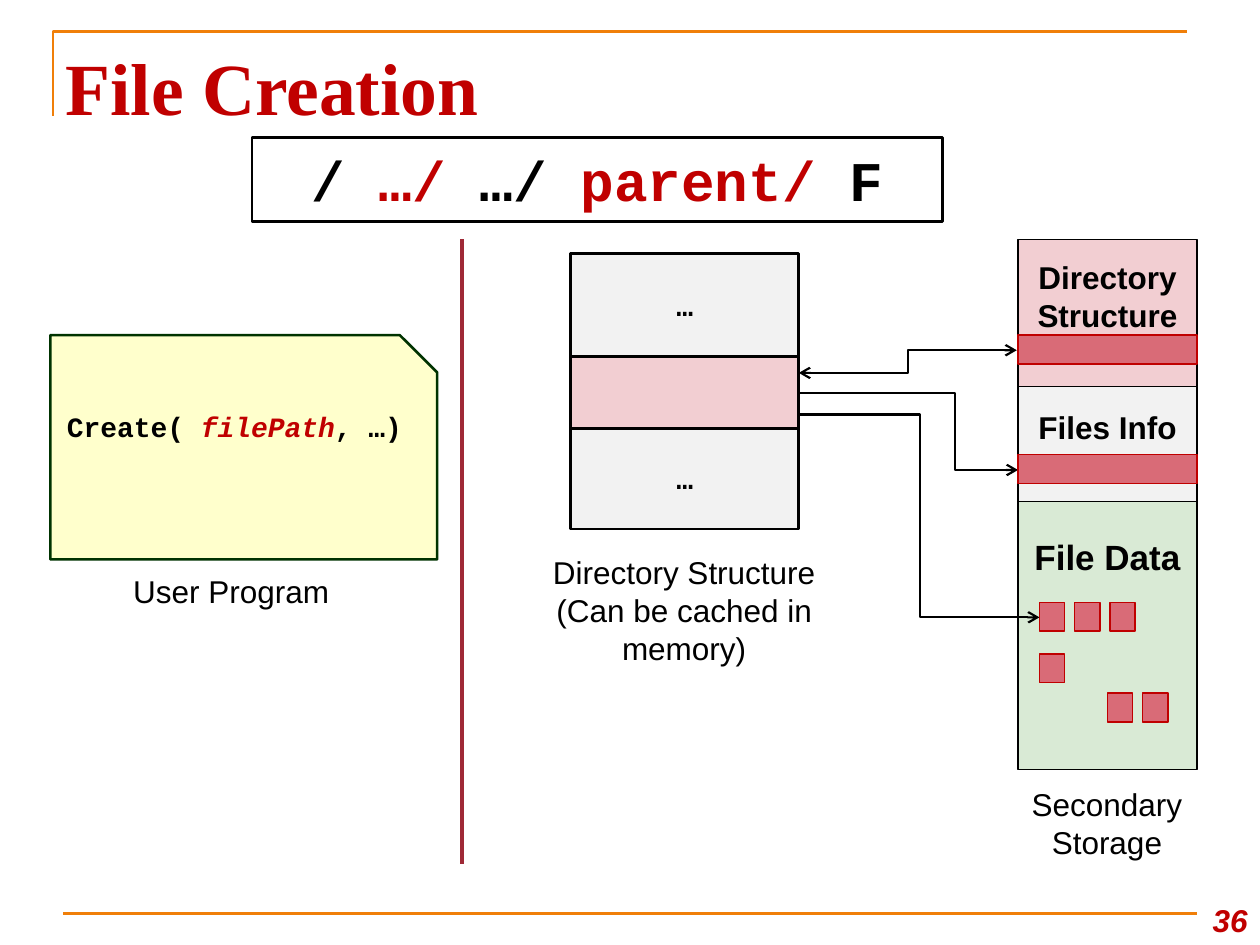
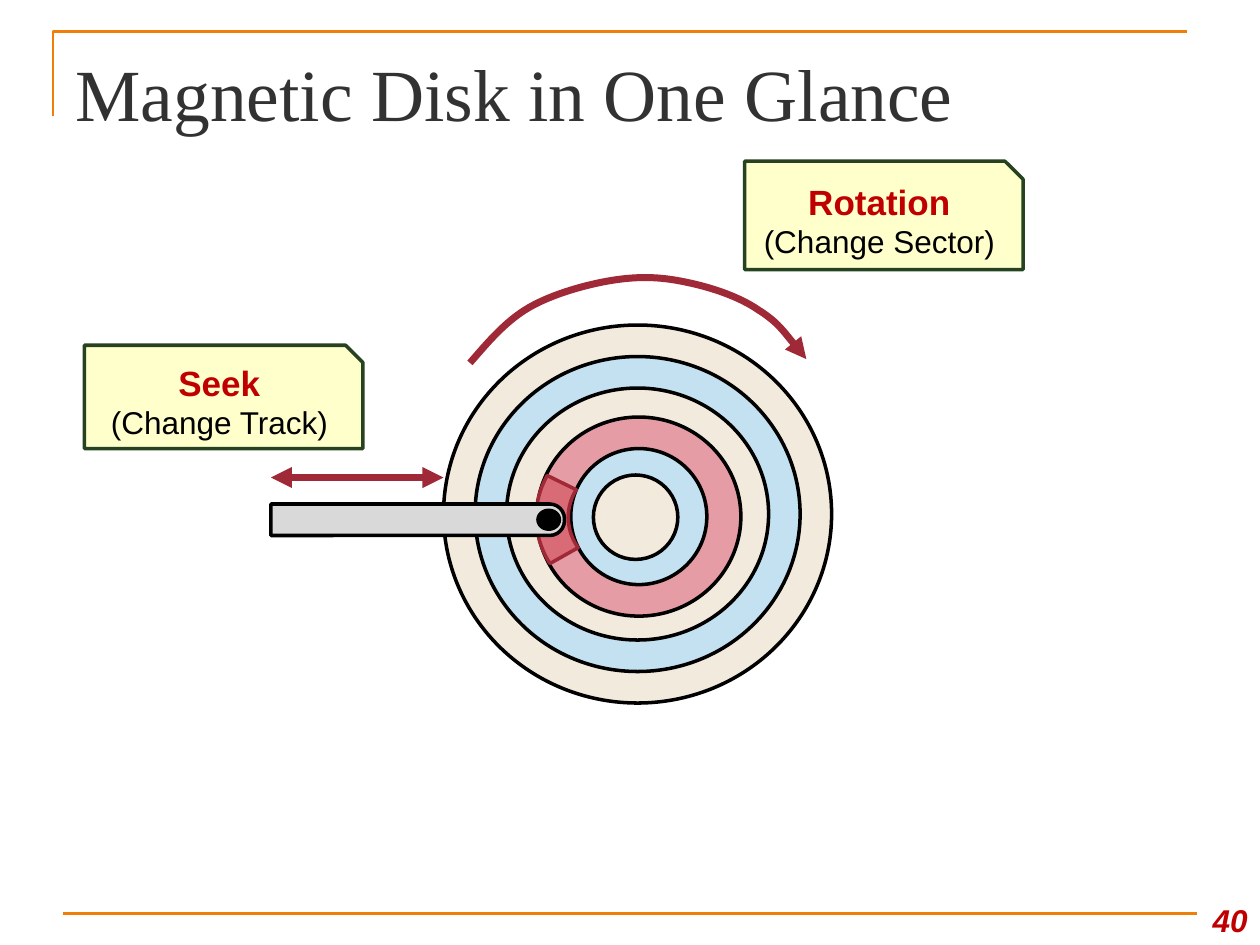
import lxml.etree
import pptx
import pptx.dml.color
import pptx.enum.shapes
import pptx.enum.text
import pptx.oxml.ns
import pptx.util

COLUMN = ROW = pptx.util.Inches(1)
COLUMNS, ROWS = 10, 7.5
COLORS = {
    "accent": "F07F09", "red": "C00000", "black": "000000", "dark": "323232",
    "crimson": "9F2936", "gray": "F2F2F2", "pink": "F2CED2", "green": "D9EAD5",
    "block": "D96B77", "note": "FFFFCC", "forest": "003300", "moss": "274221",
    "sand": "F3EADE", "sky": "C4E1F2", "track": "E69CA4", "metal": "D9D9D9",
}
SHAPE = pptx.enum.shapes.MSO_SHAPE
CONNECTOR = pptx.enum.shapes.MSO_CONNECTOR
ANCHOR = pptx.enum.text.MSO_ANCHOR
ALIGN = pptx.enum.text.PP_ALIGN
qn = pptx.oxml.ns.qn


def grid(*lengths):
    return [round(length * COLUMN) for length in lengths]


def rgb(name):
    return pptx.dml.color.RGBColor.from_string(COLORS[name])


def run(text, size, color="black", font="Arial", bold=False, italic=False):
    return text, size, color, font, bold, italic


def code(text, size, color="black", italic=False):
    return run(text, size, color, "Courier New", True, italic)


def write(holder, paragraphs, align=ALIGN.CENTER, anchor=ANCHOR.MIDDLE, top=0.05, wrap=True):
    frame = holder.text_frame
    frame.word_wrap = wrap
    frame.auto_size = pptx.enum.text.MSO_AUTO_SIZE.NONE
    frame.vertical_anchor = anchor
    frame.margin_top = round(top * ROW)
    for index, runs in enumerate(paragraphs):
        paragraph = frame.add_paragraph() if index else frame.paragraphs[0]
        paragraph.alignment = align
        for text, size, color, font, bold, italic in runs:
            piece = paragraph.add_run()
            piece.text = text
            piece.font.size = pptx.util.Pt(size)
            piece.font.name = font
            piece.font.bold = bold
            piece.font.italic = italic
            piece.font.color.rgb = rgb(color)


def paint(shape, fill, line, width):
    shape.shadow.inherit = False
    if fill:
        shape.fill.solid()
        shape.fill.fore_color.rgb = rgb(fill)
    else:
        shape.fill.background()
    shape.line.color.rgb = rgb(line)
    shape.line.width = pptx.util.Pt(width)


def block(slide, kind, place, fill, line="black", width=1.5, turn=0, adjust=()):
    shape = slide.shapes.add_shape(kind, *grid(*place))
    paint(shape, fill, line, width)
    shape.rotation = turn
    for index, value in enumerate(adjust):
        shape.adjustments[index] = value
    return shape


def arrowheads(shape, head, tail):
    outline = shape.element.find(".//" + qn("a:ln"))
    for tag, kind in (("a:headEnd", head), ("a:tailEnd", tail)):
        if kind:
            lxml.etree.SubElement(outline, qn(tag)).set("type", kind)


def link(slide, start, end, color, width, head=None, tail=None, bend=None):
    kind = CONNECTOR.ELBOW if bend else CONNECTOR.STRAIGHT
    connector = slide.shapes.add_connector(kind, *grid(*start, *end))
    connector.line.color.rgb = rgb(color)
    connector.line.width = pptx.util.Pt(width)
    properties = connector.element.spPr
    lxml.etree.SubElement(properties, qn("a:effectLst"))
    if bend:
        guides = properties.find(".//" + qn("a:avLst"))
        guide = lxml.etree.SubElement(guides, qn("a:gd"))
        guide.set("name", "adj1")
        guide.set("fmla", f"val {round(bend * 100000)}")
    arrowheads(connector, head, tail)


def outline(slide, points, color, width):
    start, *rest = [grid(*point) for point in points]
    builder = slide.shapes.build_freeform(*start)
    builder.add_line_segments(rest, close=False)
    shape = builder.convert_to_shape()
    paint(shape, None, color, width)
    return shape


def curve(slide, points, color, width):
    shape = outline(slide, points, color, width)
    route = shape.element.find(".//" + qn("a:path"))
    segments = route.findall(qn("a:lnTo"))
    for first in range(0, len(segments), 3):
        bezier = lxml.etree.SubElement(route, qn("a:cubicBezTo"))
        for segment in segments[first:first + 3]:
            bezier.append(segment[0])
            route.remove(segment)
    return shape


def caption(slide, place, lines):
    box = slide.shapes.add_textbox(*grid(*place))
    write(box, [[run(line, 18)] for line in lines], anchor=ANCHOR.TOP)


def start_slide(deck, heading, corner, color, bold, number):
    slide = deck.slides.add_slide(deck.slide_layouts[5])
    outline(slide, [(0.42, 0.92), (0.42, 0.25), (9.42, 0.25)], "accent", 1.5)
    link(slide, (0.5, 7.25), (9.5, 7.25), "accent", 1.5)
    title = slide.shapes.title
    title.left, title.top, title.width, title.height = grid(*corner, 9, 0.78)
    title.text_frame.margin_bottom = 0
    write(title, [[run(heading, 42, color, "Times New Roman", bold)]],
          ALIGN.LEFT, ANCHOR.BOTTOM)
    page = slide.shapes.add_textbox(*grid(9.42, 7, 0.58, 0.5))
    write(page, [[run(number, 18, "red", bold=True, italic=True)]],
          ALIGN.RIGHT, ANCHOR.BOTTOM)
    return slide


def user_program(slide):
    program = block(slide, SHAPE.SNIP_1_RECTANGLE, (0.4, 2.66, 3.07, 1.78), "note", "forest")
    call = [code("Create( ", 16), code("filePath", 16, "red", True), code(", …)", 16)]
    write(program, [call], anchor=ANCHOR.TOP, top=0.44)
    caption(slide, (0.69, 4.49, 2.29, 0.4), ["User Program"])


def cached_directory(slide):
    top = 2.01
    for height, fill, text in ((0.82, "gray", "…"), (0.57, "pink", ""), (0.8, "gray", "…")):
        entry = block(slide, SHAPE.RECTANGLE, (4.53, top, 1.81, height), fill)
        if text:
            write(entry, [[code(text, 16)]], wrap=False)
        top += height
    caption(slide, (4.13, 4.34, 2.6, 1.01), ["Directory Structure", "(Can be cached in memory)"])


def secondary_storage(slide):
    left, width = 8.08, 1.42
    regions = (
        (1.9, 1.17, "pink", "Directory Structure", 18, 0.15),
        (3.07, 0.92, "gray", "Files Info", 18, 0.17),
        (3.98, 2.13, "green", "File Data", 20, 0.27),
    )
    for top, height, fill, text, size, inset in regions:
        region = block(slide, SHAPE.RECTANGLE, (left, top, width, height), fill, width=0.75)
        write(region, [[run(text, size, bold=True)]], anchor=ANCHOR.TOP, top=inset)
    caption(slide, (7.64, 6.18, 2.29, 0.71), ["Secondary", "Storage"])

    link(slide, (6.34, 2.96), (8.07, 2.78), "black", 1.25, "arrow", "arrow", 0.5)
    link(slide, (6.35, 3.29), (8.25, 4.9), "black", 1.25, tail="arrow", bend=0.5)
    link(slide, (6.35, 3.12), (8.08, 3.73), "black", 1.25, tail="arrow", bend=0.71)

    records = [(left, top, width) for top in (2.66, 3.61)]
    for first, top, count in ((8.25, 4.78, 3), (8.25, 5.19, 1), (8.79, 5.5, 2)):
        records += [(first + 0.28 * step, top, 0.2) for step in range(count)]
    for record_left, top, record_width in records:
        block(slide, SHAPE.RECTANGLE, (record_left, top, record_width, 0.23),
              "block", "red", 0.75)


def file_creation(deck):
    slide = start_slide(deck, "File Creation", (0.42, 0.25), "red", True, "36")
    address = block(slide, SHAPE.RECTANGLE, (2, 1.09, 5.48, 0.67), None)
    parts = (("/ ", "black"), ("…/ ", "red"), ("…/ ", "black"), ("parent/ ", "red"), ("F", "black"))
    write(address, [[code(text, 32, color) for text, color in parts]], wrap=False)
    link(slide, (3.67, 1.9), (3.67, 6.86), "crimson", 2.25)
    user_program(slide)
    cached_directory(slide)
    secondary_storage(slide)


def platter(slide):
    for ring, fill in enumerate(("sand", "sky", "sand")):
        inset = 0.25 * ring
        block(slide, SHAPE.OVAL,
              (3.52 + inset, 2.58 + inset, 3.08 - 2 * inset, 3 - 2 * inset), fill, width=2)
    block(slide, SHAPE.OVAL, (4.26, 3.31, 1.62, 1.58), "track", width=2)
    block(slide, SHAPE.OVAL, (4.53, 3.56, 1.08, 1.08), "sky", width=2)
    block(slide, SHAPE.BLOCK_ARC, (4.31, 3.34, 1.42, 1.53), "block", "crimson", 2,
          270, (144.42, 177.66, 0.18))
    block(slide, SHAPE.OVAL, (4.71, 3.77, 0.67, 0.67), "sand", width=2)


def disk_arm(slide):
    block(slide, SHAPE.ROUND_2_SAME_RECTANGLE, (3.19, 2.96, 0.25, 2.33), "metal",
          width=2, turn=90, adjust=(0.47, 0))
    block(slide, SHAPE.OVAL, (4.27, 4.05, 0.17, 0.15), "black", width=2)


def movement(slide, place, name, effect):
    note = block(slide, SHAPE.SNIP_1_RECTANGLE, place, "note", "moss", 2)
    write(note, [[run(name, 20, "red", bold=True)], [run(effect, 18)]])


def magnetic_disk(deck):
    slide = start_slide(deck, "Magnetic Disk in One Glance", (0.5, 0.3), "dark", False, "40")
    platter(slide)
    disk_arm(slide)
    rotation = curve(slide, [
        (3.73, 2.88), (3.87, 2.72), (4.01, 2.55), (4.2, 2.44),
        (4.39, 2.33), (4.68, 2.25), (4.89, 2.22),
        (5.1, 2.19), (5.26, 2.2), (5.45, 2.24),
        (5.64, 2.28), (5.86, 2.35), (6.02, 2.46),
        (6.18, 2.56), (6.4, 2.85), (6.4, 2.85),
    ], "crimson", 4)
    arrowheads(rotation, None, "triangle")
    link(slide, (2.15, 3.79), (3.52, 3.79), "crimson", 4, "triangle", "triangle")
    movement(slide, (5.91, 1.28, 2.21, 0.86), "Rotation", "(Change Sector)")
    movement(slide, (0.67, 2.74, 2.21, 0.82), "Seek", "(Change Track)")


def main():
    deck = pptx.Presentation()
    deck.slide_width, deck.slide_height = grid(COLUMNS, ROWS)
    file_creation(deck)
    magnetic_disk(deck)
    deck.save("out.pptx")


if __name__ == "__main__":
    main()
